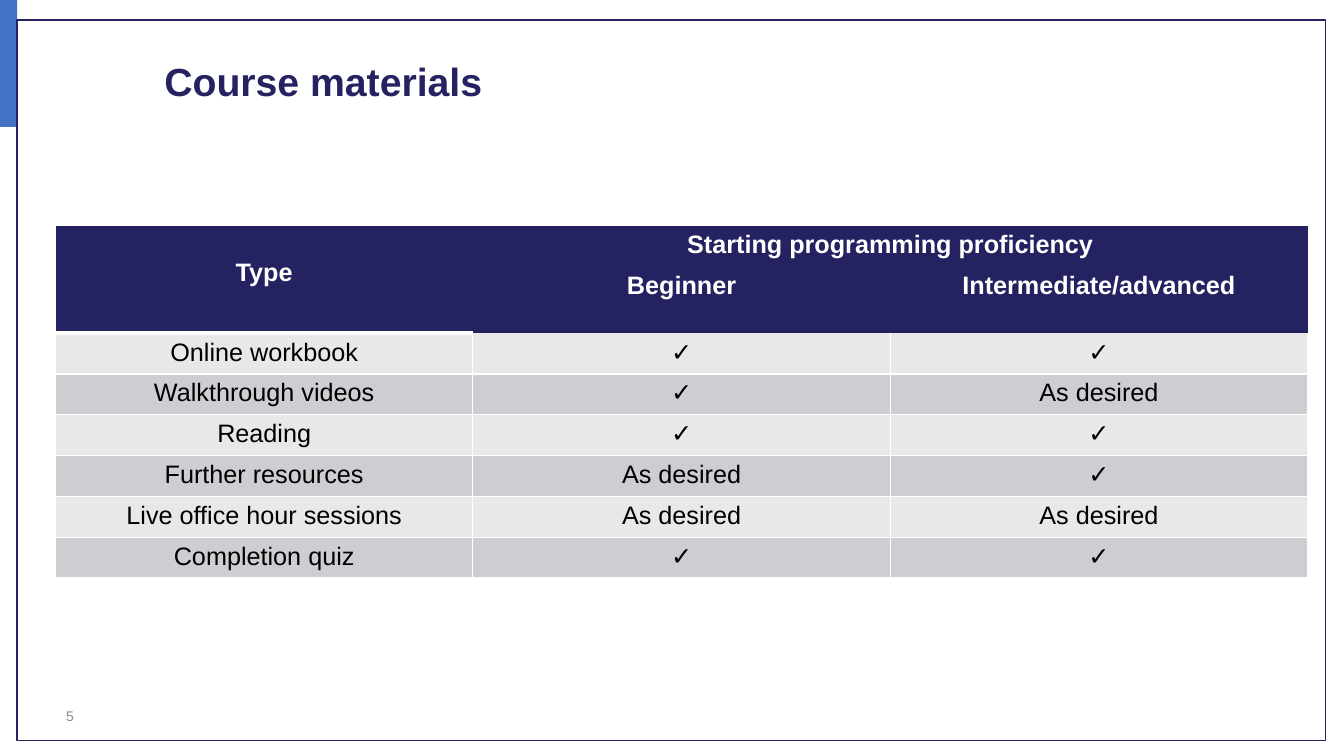
from dataclasses import dataclass
from typing import NamedTuple

from lxml.etree import SubElement
from pptx import Presentation
from pptx.dml.color import RGBColor
from pptx.enum.shapes import MSO_SHAPE
from pptx.enum.text import MSO_ANCHOR, MSO_AUTO_SIZE, PP_ALIGN
from pptx.oxml.ns import qn
from pptx.util import Inches, Pt

WIDE, HIGH = Inches(13.33), Inches(7.5)


@dataclass(frozen=True)
class Theme:
    font: str = "Arial"
    navy: str = "252261"
    blue: str = "4372C4"
    white: str = "FFFFFF"
    black: str = "000000"
    gray: str = "8C8C8C"
    bands: tuple[str, str] = ("E8E8EA", "CDCDD2")
    head: int = 28
    body: int = 18
    small: int = 10
    plain: str = "{2D5ABB26-0587-4C30-8999-92F81FD0307C}"


class Box(NamedTuple):
    left: float
    top: float
    width: float
    height: float

    def place(self) -> tuple[int, int, int, int]:
        return (across(self.left), down(self.top),
                across(self.width), down(self.height))


class Panel(NamedTuple):
    box: Box
    fill: str | None = None
    line: str | None = None


class Entry(NamedTuple):
    label: str
    novice: str
    expert: str


THEME = Theme()
TICK, MAYBE = "✓", "As desired"
PANELS = [
    Panel(Box(0, 0, 1.28, 16.8), fill=THEME.blue),
    Panel(Box(1.28, 2.67, 97.37, 95.33), line=THEME.navy),
]
ENTRIES = [
    Entry("Online workbook", TICK, TICK),
    Entry("Walkthrough videos", TICK, MAYBE),
    Entry("Reading", TICK, TICK),
    Entry("Further resources", MAYBE, TICK),
    Entry("Live office hour sessions", MAYBE, MAYBE),
    Entry("Completion quiz", TICK, TICK),
]
HEADS = [("Type", "Starting programming proficiency", ""),
         ("", "Beginner", "Intermediate/advanced")]
TITLE = Box(11.48, 5.33, 85.82, 11.6)
GRID = Box(4.13, 29.87, 93.17, 46.53)
NUMBER = Box(0, 92, 6.23, 5.33)
ROW, TALL = 5.4, 8.73


def across(share: float) -> int:
    return round(WIDE * share / 100)


def down(share: float) -> int:
    return round(HIGH * share / 100)


def write(frame, text: str, *, size: int = THEME.body, color: str = THEME.black,
          bold: bool = False, align=PP_ALIGN.CENTER, anchor=MSO_ANCHOR.TOP,
          space: float = 1.0) -> None:
    frame.word_wrap = True
    frame.vertical_anchor = anchor
    para = frame.paragraphs[0]
    para.alignment = align
    para.line_spacing = space
    run = para.add_run()
    run.text = text
    run.font.name = THEME.font
    run.font.size = Pt(size)
    run.font.bold = bold
    run.font.color.rgb = RGBColor.from_string(color)


def draw_panel(slide, panel: Panel) -> None:
    shape = slide.shapes.add_shape(MSO_SHAPE.RECTANGLE, *panel.box.place())
    shape.shadow.inherit = False
    if panel.fill:
        shape.fill.solid()
        shape.fill.fore_color.rgb = RGBColor.from_string(panel.fill)
    else:
        shape.fill.background()
    if panel.line:
        shape.line.color.rgb = RGBColor.from_string(panel.line)
        shape.line.width = Pt(1)
    else:
        shape.line.fill.background()


def style(cell, fill: str, **edges: int) -> None:
    props = cell._tc.get_or_add_tcPr()
    for side in "LRTB":
        if side in edges:
            line = SubElement(props, qn(f"a:ln{side}"), w=str(Pt(edges[side])))
            solid = SubElement(line, qn("a:solidFill"))
            SubElement(solid, qn("a:srgbClr"), val=THEME.white)
    cell.fill.solid()
    cell.fill.fore_color.rgb = RGBColor.from_string(fill)


def draw_table(slide) -> None:
    rows = [*HEADS, *ENTRIES]
    table = slide.shapes.add_table(len(rows), 3, *GRID.place()).table
    table._tbl.tblPr.find(qn("a:tableStyleId")).text = THEME.plain
    for col in table.columns:
        col.width = across(GRID.width / 3)
    for r, row in enumerate(rows):
        table.rows[r].height = down(TALL if r == 1 else ROW)
        head = r < len(HEADS)
        for c, text in enumerate(row):
            cell = table.cell(r, c)
            if head:
                edges = {"L": 1, "T": 1, "B": 3} if c == 0 else {}
                style(cell, THEME.navy, **edges)
            else:
                style(cell, THEME.bands[r % 2], L=1, R=1, B=1)
            if text:
                write(cell.text_frame, text, bold=head,
                      color=THEME.white if head else THEME.black)
                cell.vertical_anchor = MSO_ANCHOR.TOP
    kind = table.cell(0, 0)
    kind.merge(table.cell(1, 0))
    kind.margin_top = Inches(0.33)
    table.cell(0, 1).merge(table.cell(0, 2))


def main() -> None:
    deck = Presentation()
    deck.slide_width, deck.slide_height = WIDE, HIGH
    slide = deck.slides.add_slide(deck.slide_layouts[5])
    for panel in PANELS:
        draw_panel(slide, panel)
    title = slide.shapes.title
    title.left, title.top, title.width, title.height = TITLE.place()
    title.text_frame.auto_size = MSO_AUTO_SIZE.NONE
    write(title.text_frame, "Course materials", size=THEME.head, bold=True,
          color=THEME.navy, align=PP_ALIGN.LEFT, anchor=MSO_ANCHOR.MIDDLE, space=0.9)
    draw_table(slide)
    number = slide.shapes.add_textbox(*NUMBER.place())
    write(number.text_frame, "5", size=THEME.small, color=THEME.gray,
          align=PP_ALIGN.RIGHT, anchor=MSO_ANCHOR.MIDDLE)
    deck.save("out.pptx")


if __name__ == "__main__":
    main()
